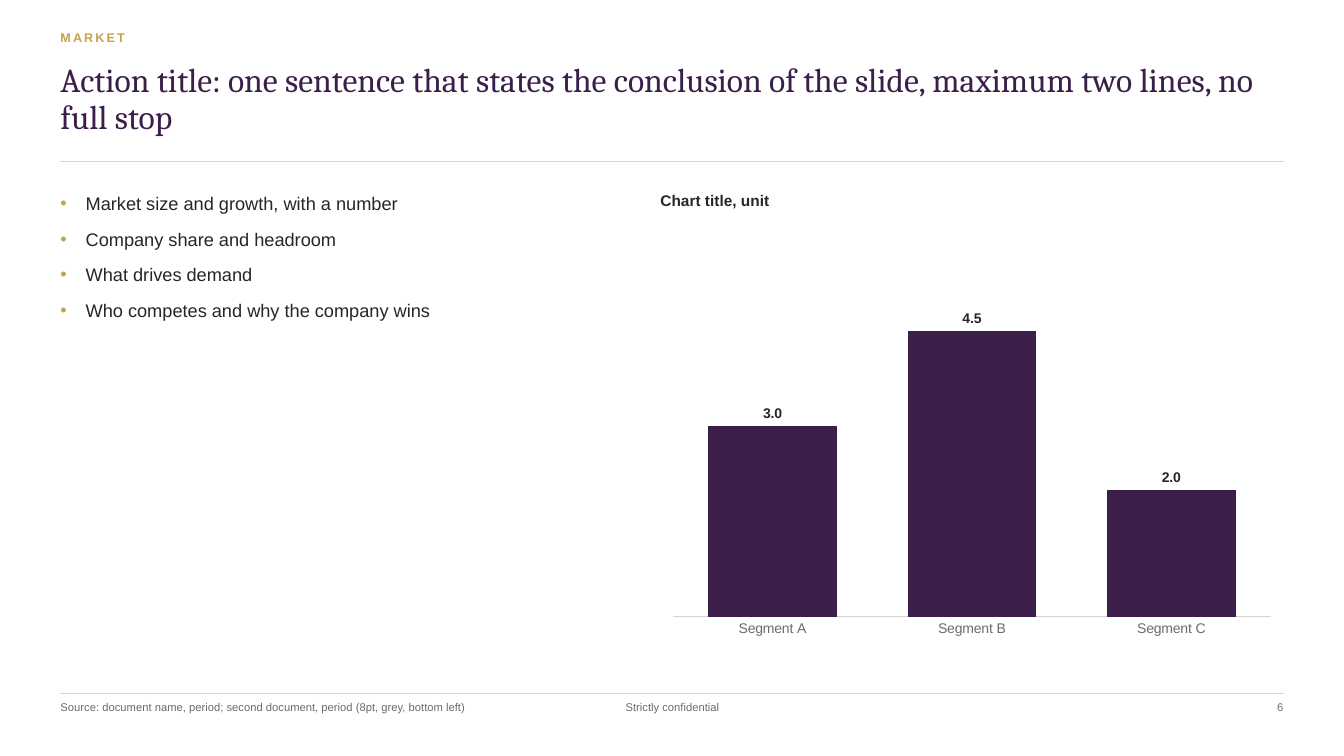
"""Build a market slide with key points and a segment column chart."""
from dataclasses import dataclass

from lxml import etree
from pptx import Presentation
from pptx import util as u
from pptx.chart import data as chart_data
from pptx.dml.color import RGBColor
from pptx.enum import chart as ch
from pptx.enum import shapes, text
from pptx.oxml.ns import qn


@dataclass(frozen=True)
class Theme:
    plum: str = "3B1F4A"
    gold: str = "C8A24A"
    ink: str = "2A2328"
    grey: str = "6E6A66"
    rule: str = "D8D2CA"
    serif: str = "Cambria"
    sans: str = "Arial"
    title: float = 24
    body: float = 13
    heading: float = 11
    label: float = 10
    kicker: float = 9
    small: float = 8


THEME = Theme()
LEFT, WIDTH = 0.6, 12.13
CHART_LEFT, CHART_WIDTH = 6.55, 6.18
FOOTER_TOP = 6.95


@dataclass(frozen=True)
class TextBlock:
    lines: tuple[str, ...]
    box: tuple[float, float, float, float]
    size: float
    color: str
    font: str = THEME.sans
    bold: bool = False
    align: text.PP_ALIGN = text.PP_ALIGN.LEFT
    line_spacing: float = 1.0
    gap: float = 0
    bullet: str = ""
    tracking: float = 0
    placeholder: int | None = None


@dataclass(frozen=True)
class Rule:
    top: float
    weight: float


BLOCKS = (
    TextBlock(("Action title: one sentence that states the conclusion of the slide, "
               "maximum two lines, no full stop",), (LEFT, 0.62, WIDTH, 0.9),
              THEME.title, THEME.plum, THEME.serif, line_spacing=0.92, placeholder=0),
    TextBlock(("Market size and growth, with a number", "Company share and headroom",
               "What drives demand", "Who competes and why the company wins"),
              (LEFT, 1.9, 5.6, 4.5), THEME.body, THEME.ink,
              line_spacing=1.05, gap=9, bullet="•", placeholder=2),
    TextBlock(("Chart title, unit",), (CHART_LEFT, 1.9, CHART_WIDTH, 0.3),
              THEME.heading, THEME.ink, bold=True, placeholder=3),
    TextBlock(("Source: document name, period; second document, period "
               "(8pt, grey, bottom left)",), (LEFT, FOOTER_TOP, 5, 0.4),
              THEME.small, THEME.grey, placeholder=1),
    TextBlock(("MARKET",), (LEFT, 0.3, 7, 0.25), THEME.kicker, THEME.gold,
              bold=True, tracking=1.5),
    TextBlock(("Strictly confidential",), (5.67, FOOTER_TOP, 2, 0.25),
              THEME.small, THEME.grey, align=text.PP_ALIGN.CENTER),
    TextBlock(("6",), (11.73, FOOTER_TOP, 1, 0.25),
              THEME.small, THEME.grey, align=text.PP_ALIGN.RIGHT),
)
RULES = (Rule(1.6, 0.75), Rule(6.88, 0.5))
SEGMENTS = {"Segment A": 3, "Segment B": 4.5, "Segment C": 2}


def apply(target, values: dict) -> None:
    for name, value in values.items():
        setattr(target, name, value)


def style_font(font, size: float, color: str, bold: bool = False,
               name: str = THEME.sans) -> None:
    apply(font, {"size": u.Pt(size), "bold": bold, "name": name})
    font.color.rgb = RGBColor.from_string(color)


def style_line(line, weight: float) -> None:
    line.width = u.Pt(weight)
    line.color.rgb = RGBColor.from_string(THEME.rule)


def add_bullet(paragraph, mark: str) -> None:
    properties = paragraph._p.get_or_add_pPr()
    indent = u.Inches(0.25)
    properties.set("marL", str(indent))
    properties.set("indent", str(-indent))
    color = etree.SubElement(properties, qn("a:buClr"))
    etree.SubElement(color, qn("a:srgbClr"), val=THEME.gold)
    etree.SubElement(properties, qn("a:buChar"), char=mark)


def draw_text(slide, block: TextBlock) -> None:
    box = [u.Inches(length) for length in block.box]
    if block.placeholder is None:
        holder = slide.shapes.add_textbox(*box)
    else:
        holder = next(p for p in slide.placeholders
                      if p.placeholder_format.idx == block.placeholder)
        apply(holder, dict(zip(("left", "top", "width", "height"), box)))
    frame = holder.text_frame
    apply(frame, {"margin_left": 0, "margin_top": 0, "margin_right": 0,
                  "margin_bottom": 0, "word_wrap": True,
                  "auto_size": text.MSO_AUTO_SIZE.NONE,
                  "vertical_anchor": text.MSO_ANCHOR.TOP})
    for index, line in enumerate(block.lines):
        paragraph = frame.add_paragraph() if index else frame.paragraphs[0]
        if block.bullet:
            add_bullet(paragraph, block.bullet)
        apply(paragraph, {"alignment": block.align,
                          "line_spacing": block.line_spacing,
                          "space_before": u.Pt(block.gap if index else 0)})
        run = paragraph.add_run()
        run.text = line
        style_font(run.font, block.size, block.color, block.bold, block.font)
        if block.tracking:
            run._r.get_or_add_rPr().set("spc", str(int(block.tracking * 100)))


def draw_rule(slide, rule: Rule) -> None:
    top = u.Inches(rule.top)
    line = slide.shapes.add_connector(shapes.MSO_CONNECTOR.STRAIGHT, u.Inches(LEFT),
                                      top, u.Inches(LEFT + WIDTH), top)
    style_line(line.line, rule.weight)
    etree.SubElement(line._element.spPr, qn("a:effectLst"))


def draw_chart(slide, segments: dict[str, float]) -> None:
    sizes = chart_data.CategoryChartData(number_format="0.0")
    sizes.categories = list(segments)
    sizes.add_series("Series 1", list(segments.values()))
    chart = slide.shapes.add_chart(
        ch.XL_CHART_TYPE.COLUMN_CLUSTERED, u.Inches(CHART_LEFT), u.Inches(2.25),
        u.Inches(CHART_WIDTH), u.Inches(4.15), sizes).chart
    apply(chart, {"has_legend": False, "has_title": False})
    style_font(chart.font, THEME.label, THEME.ink)

    apply(chart.value_axis, {"visible": False, "has_major_gridlines": False,
                             "minimum_scale": 0, "maximum_scale": 6})
    category_axis = chart.category_axis
    apply(category_axis, {"major_tick_mark": ch.XL_TICK_MARK.NONE,
                          "minor_tick_mark": ch.XL_TICK_MARK.NONE,
                          "has_major_gridlines": False})
    style_font(category_axis.tick_labels.font, THEME.label, THEME.grey)
    style_line(category_axis.format.line, 0.75)

    plot = chart.plots[0]
    apply(plot, {"gap_width": 55, "vary_by_categories": False})
    columns = plot.series[0]
    columns.format.fill.solid()
    columns.format.fill.fore_color.rgb = RGBColor.from_string(THEME.plum)
    labels = columns.data_labels
    apply(labels, {"show_value": True, "number_format": "0.0",
                   "number_format_is_linked": False,
                   "position": ch.XL_LABEL_POSITION.OUTSIDE_END})
    style_font(labels.font, THEME.label, THEME.ink, bold=True)


def main() -> None:
    deck = Presentation()
    apply(deck, {"slide_width": u.Inches(13.33), "slide_height": u.Inches(7.5)})
    slide = deck.slides.add_slide(deck.slide_layouts.get_by_name("Comparison"))
    for rule in RULES:
        draw_rule(slide, rule)
    for block in BLOCKS:
        draw_text(slide, block)
    draw_chart(slide, SEGMENTS)
    for holder in list(slide.placeholders):
        if not holder.text_frame.text:
            holder._element.getparent().remove(holder._element)
    deck.save("out.pptx")


if __name__ == "__main__":
    main()
